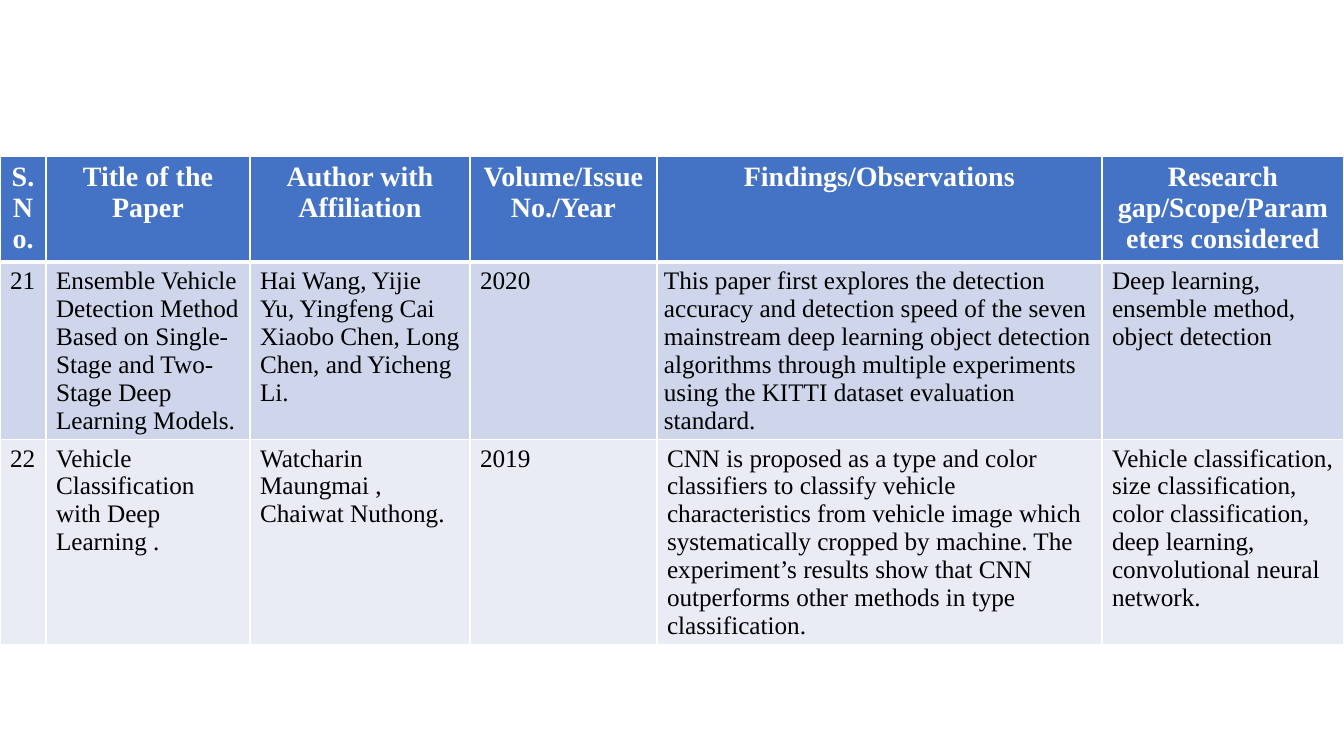
from lxml import etree
from pptx import Presentation
from pptx import util as u
from pptx.dml.color import RGBColor
from pptx.enum import text
from pptx.oxml.ns import qn

# Content
HEADINGS = ["S.No.", "Title of the Paper", "Author with Affiliation",
            "Volume/Issue No./Year", "Findings/Observations",
            "Research gap/Scope/Parameters considered"]
PAPERS = [
    ["21",
     "Ensemble Vehicle Detection Method Based on Single-Stage and Two-Stage "
     "Deep Learning Models.",
     "Hai Wang, Yijie Yu, Yingfeng Cai Xiaobo Chen, Long Chen, and Yicheng Li.",
     "2020",
     "This paper first explores the detection accuracy and detection speed of "
     "the seven mainstream deep learning object detection algorithms through "
     "multiple experiments using the KITTI dataset evaluation standard.",
     "Deep learning, ensemble method, object detection"],
    ["22",
     "Vehicle Classification with Deep Learning .",
     "Watcharin Maungmai , Chaiwat Nuthong.",
     "2019",
     "CNN is proposed as a type and color classifiers to classify vehicle "
     "characteristics from vehicle image which systematically cropped by "
     "machine. The experiment’s results show that CNN outperforms other "
     "methods in type classification.",
     "Vehicle classification, size classification, color classification, "
     "deep learning, convolutional neural network."],
]

# Layout in px
PX = u.Inches(1) / 100.8
PAGE_WIDTH, PAGE_HEIGHT = 1344, 756
TABLE_TOP = 156
COLUMN_WIDTHS = [46, 204, 220, 187, 445, 242]
ROW_HEIGHTS = [106, 177, 204]
FINDINGS_MARGIN = 7

# Style
FONT = "Times New Roman"
WHITE = RGBColor(0xFF, 0xFF, 0xFF)
BLACK = RGBColor(0x00, 0x00, 0x00)
HEADER_BLUE = RGBColor(0x44, 0x72, 0xC4)
BANDS = [RGBColor(0xCF, 0xD5, 0xEA), RGBColor(0xE9, 0xEB, 0xF5)]


def px(length):
    return u.Emu(round(length * PX))


def write(cell, words, size=18, color=BLACK, bold=False,
          align=text.PP_ALIGN.LEFT):
    para = cell.text_frame.paragraphs[0]
    para.alignment = align
    span = para.add_run()
    span.text = words
    span.font.name = FONT
    span.font.size = u.Pt(size)
    span.font.bold = bold
    span.font.color.rgb = color


def set_borders(cell, top=1, bottom=1):
    properties = cell._tc.get_or_add_tcPr()
    widths = [("a:lnL", 1), ("a:lnR", 1), ("a:lnT", top), ("a:lnB", bottom)]
    for position, (side, width) in enumerate(widths):
        line = etree.Element(qn(side), w=str(u.Pt(width)))
        fill = etree.SubElement(line, qn("a:solidFill"))
        etree.SubElement(fill, qn("a:srgbClr"), val=str(WHITE))
        properties.insert(position, line)


def paint(cell, color):
    cell.fill.solid()
    cell.fill.fore_color.rgb = color


deck = Presentation()
deck.slide_width, deck.slide_height = px(PAGE_WIDTH), px(PAGE_HEIGHT)
page = deck.slides.add_slide(deck.slide_layouts[6])

# Table grid
table = page.shapes.add_table(
    len(ROW_HEIGHTS), len(COLUMN_WIDTHS), 0, px(TABLE_TOP),
    px(sum(COLUMN_WIDTHS)), px(sum(ROW_HEIGHTS))).table
for column, width in zip(table.columns, COLUMN_WIDTHS):
    column.width = px(width)
for row, height in zip(table.rows, ROW_HEIGHTS):
    row.height = px(height)

# Header row
for column, heading in enumerate(HEADINGS):
    cell = table.cell(0, column)
    write(cell, heading, size=20, color=WHITE, bold=True,
          align=text.PP_ALIGN.CENTER)
    paint(cell, HEADER_BLUE)
    set_borders(cell, bottom=3)

# Paper rows
for row, (paper, band) in enumerate(zip(PAPERS, BANDS), start=1):
    for column, words in enumerate(paper):
        cell = table.cell(row, column)
        write(cell, words)
        paint(cell, band)
        set_borders(cell, top=3 if row == 1 else 1)

# The first findings cell is centred vertically, with tighter margins
findings = table.cell(1, HEADINGS.index("Findings/Observations"))
findings.vertical_anchor = text.MSO_ANCHOR.MIDDLE
findings.margin_left = findings.margin_right = px(FINDINGS_MARGIN)
findings.margin_top = findings.margin_bottom = 0
findings.text_frame.paragraphs[0].space_after = u.Pt(8)

deck.save("out.pptx")
